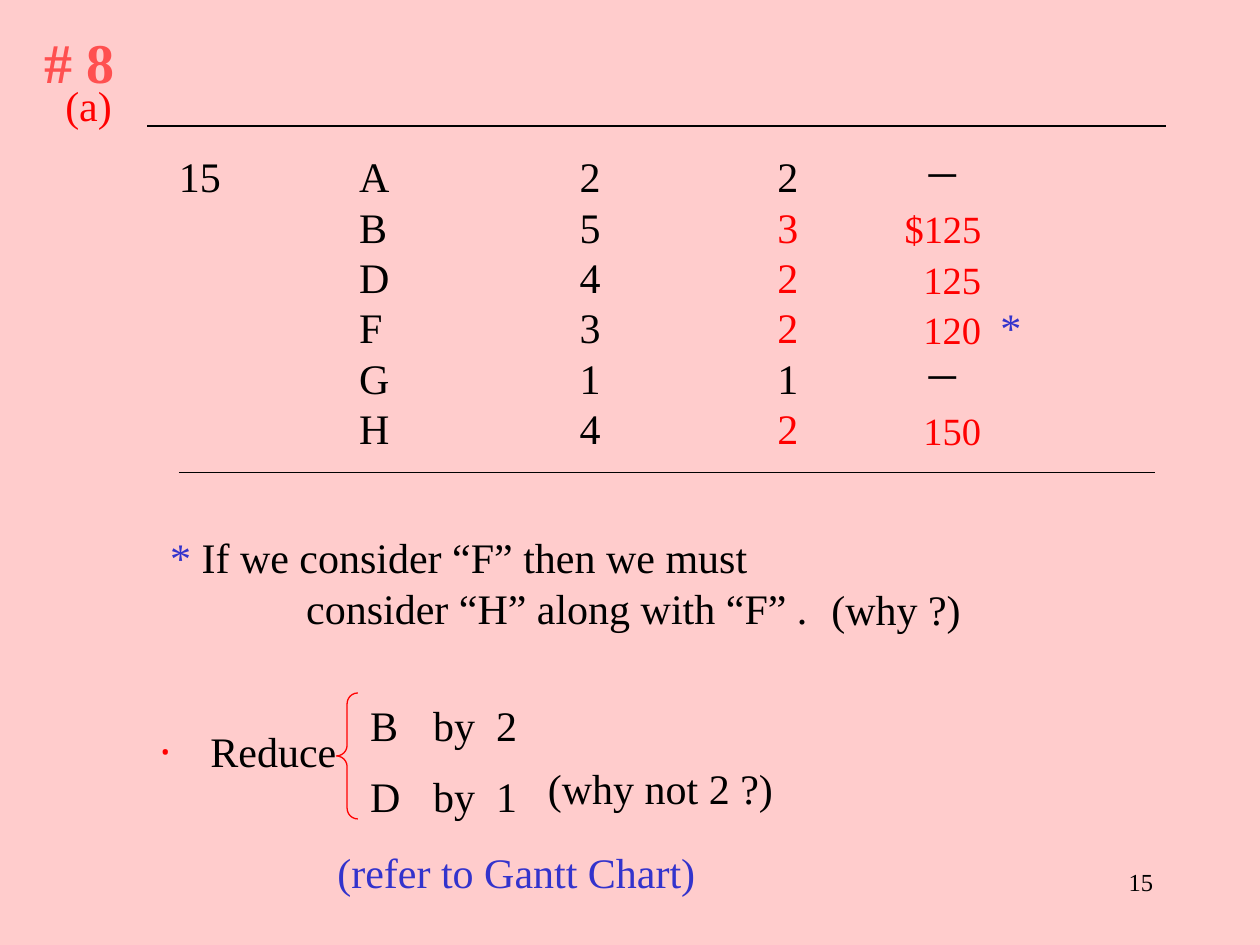
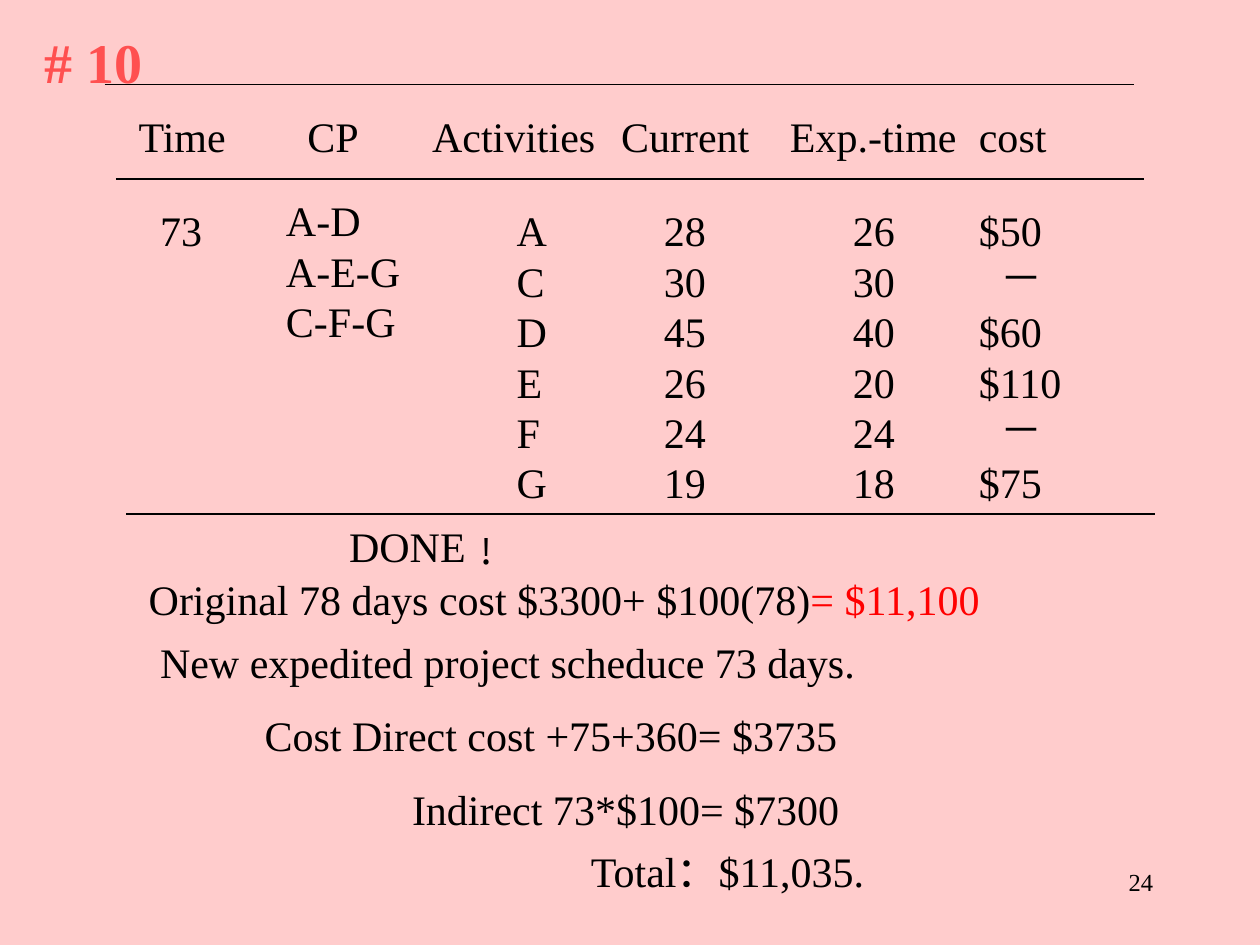
from dataclasses import dataclass
from itertools import accumulate

from lxml import etree
from pptx import Presentation, util as u
from pptx.dml.color import RGBColor
from pptx.enum import shapes, text
from pptx.oxml import ns


@dataclass(frozen=True)
class Theme:
    font: str = "Times New Roman"
    background: str = "FFCCCC"
    title: str = "FF5050"
    ink: str = "000000"
    red: str = "FF0000"
    blue: str = "3333CC"
    title_size: int = 32
    body_size: int = 24
    cost_size: int = 22
    number_size: int = 14
    leading: float = 1.2
    line_width: float = 0.75


THEME = Theme()
RED, BLUE, INK = THEME.red, THEME.blue, THEME.ink
ROW_HEIGHT = 0.4
NO_GRID_STYLE = "{2D5ABB26-0587-4C30-8999-92F81FD0307C}"

CRASH_ROWS = [
    ["15", "A", "2", "2", "－", ""],
    ["", "B", "5", [("3", RED)], [("$125", RED)], ""],
    ["", "D", "4", [("2", RED)], [("125", RED)], ""],
    ["", "F", "3", [("2", RED)], [("120", RED)], [("*", BLUE)]],
    ["", "G", "1", "1", "－", ""],
    ["", "H", "4", [("2", RED)], [("150", RED)], ""],
]
CRASH_COLUMNS = [1.42, 2.85, 4.6, 6.17, 7.18, 7.94, 8.34]
CRASH_RULES = [(1.17, 9.25, 1), (1.42, 9.17, 3.75)]
CRASH_NOTES = [
    dict(content=[("*", BLUE), (" If we consider “F” then we must", INK)], margin=0.08),
    dict(content="consider “H” along with “F” .", margin=1.16),
    dict(content="Reduce", margin=0.4, before=53, bullet="‧"),
]
REDUCTIONS = [
    dict(content="B\tby\t2", tabs=(0.47, 0.97)),
    dict(content="D\tby\t1", tabs=(0.47, 0.97), before=12),
]
CRASH_REMARKS = [
    (6.5, 4.58, 1.4, "(why ?)"),
    (4.25, 6, 2.2, "(why not 2 ?)"),
    (2.58, 6.67, 4, [("(refer to Gantt Chart)", BLUE)]),
    (0.42, 0.58, 0.8, [("(a)", RED)]),
]

COST_HEADER = ["Time", "CP", "Activities", "Current", "Exp.-time", "cost"]
CRITICAL_PATHS = ["A-D", "A-E-G", "C-F-G"]
COST_ROWS = [
    ["73", "", "A", "28", "26", "$50"],
    ["", "", "C", "30", "30", "－"],
    ["", "", "D", "45", "40", "$60"],
    ["", "", "E", "26", "20", "$110"],
    ["", "", "F", "24", "24", "－"],
    ["", "", "G", "19", "18", "$75"],
]
COST_COLUMNS = [1.1, 2.27, 3.43, 4.93, 6.27, 7.77, 8.77]
HEADER_INDENTS = [0, 0.17, 0, 0, 0, 0]
BODY_INDENTS = [0.17, 0, 0.67, 0.34, 0.5, 0]
COST_RULES = [(0.83, 9, 0.67), (0.92, 9.08, 1.42), (1, 9.17, 4.08)]
COST_NOTES = [
    dict(content="DONE﹗", margin=1.59),
    dict(content=[("Original 78 days cost $3300+ $100(78)", INK), ("= $11,100", RED)],
         before=1.5),
    dict(content="New expedited project scheduce 73 days.", margin=0.09, before=7),
    dict(content="Cost Direct cost +75+360= $3735", margin=0.92, before=13),
    dict(content="Indirect 73*$100= $7300", margin=2.09, before=13.5),
    dict(content="Total：$11,035.", margin=3.51, before=7),
]


def write(paragraph, content, size=THEME.body_size, color=INK, bold=False,
          margin=0, before=0, bullet=None, tabs=()):
    if isinstance(content, str):
        content = [(content, color)]
    paragraph.text = content[0][0]
    for piece, _ in content[1:]:
        paragraph.add_run().text = piece
    for run, (_, run_color) in zip(paragraph.runs, content):
        run.font.name = THEME.font
        run.font.size = u.Pt(size)
        run.font.bold = bold
        run.font.color.rgb = RGBColor.from_string(run_color)
    paragraph.alignment = text.PP_ALIGN.LEFT
    paragraph.line_spacing = u.Pt(size * THEME.leading)
    paragraph.space_before = u.Pt(before)
    properties = paragraph._p.get_or_add_pPr()
    properties.set("marL", str(u.Inches(margin)))
    properties.set("indent", str(u.Inches(-margin if bullet else 0)))
    if bullet:
        bullet_color = etree.SubElement(properties, ns.qn("a:buClr"))
        etree.SubElement(bullet_color, ns.qn("a:srgbClr"), val=RED)
        etree.SubElement(properties, ns.qn("a:buFont"), typeface=THEME.font)
        etree.SubElement(properties, ns.qn("a:buChar"), char=bullet)
    else:
        etree.SubElement(properties, ns.qn("a:buNone"))
    if tabs:
        tab_list = etree.SubElement(properties, ns.qn("a:tabLst"))
        for tab in tabs:
            etree.SubElement(tab_list, ns.qn("a:tab"), pos=str(u.Inches(tab)), algn="l")


def fill_frame(frame, notes):
    frame.word_wrap = True
    frame.auto_size = text.MSO_AUTO_SIZE.NONE
    frame.vertical_anchor = text.MSO_ANCHOR.TOP
    for index, note in enumerate(notes):
        write(frame.paragraphs[0] if index == 0 else frame.add_paragraph(), **note)


def place(shape, left, top, width, height):
    shape.left, shape.top = u.Inches(left), u.Inches(top)
    shape.width, shape.height = u.Inches(width), u.Inches(height)


def add_text(slide, left, top, width, height, notes):
    box = slide.shapes.add_textbox(*map(u.Inches, (left, top, width, height)))
    fill_frame(box.text_frame, notes)
    return box


def add_rules(slide, rules):
    for start, end, y in rules:
        rule = slide.shapes.add_connector(
            shapes.MSO_CONNECTOR.STRAIGHT, *map(u.Inches, (start, y, end, y)))
        rule.line.color.rgb = RGBColor.from_string(INK)
        rule.line.width = u.Pt(THEME.line_width)
        etree.SubElement(rule._element.spPr, ns.qn("a:effectLst"))


def add_slide(presentation, title, number, body_box, notes, rules):
    slide = presentation.slides.add_slide(presentation.slide_layouts[1])
    place(slide.shapes.title, 0.25, 0.17, 2, 0.64)
    fill_frame(slide.shapes.title.text_frame, [
        dict(content=title, size=THEME.title_size, color=THEME.title, bold=True)])
    body = slide.placeholders[1]
    place(body, *body_box)
    fill_frame(body.text_frame, notes)
    add_rules(slide, rules)
    page = add_text(slide, 7.17, 6.83, 2.08, 0.5, [
        dict(content=number, size=THEME.number_size)])
    page.text_frame.paragraphs[0].alignment = text.PP_ALIGN.RIGHT
    return slide


def add_grid(slide, rows, columns, top, heights):
    frame = slide.shapes.add_table(
        len(rows), len(columns) - 1, u.Inches(columns[0]), u.Inches(top),
        u.Inches(columns[-1] - columns[0]), u.Inches(sum(heights)))
    table = frame.table
    table.first_row = table.horz_banding = False
    table._tbl.tblPr.find(ns.qn("a:tableStyleId")).text = NO_GRID_STYLE
    for column, start, end in zip(table.columns, columns, columns[1:]):
        column.width = u.Inches(end - start)
    for row, height in zip(table.rows, heights):
        row.height = u.Inches(height)
    for cell in table.iter_cells():
        cell.fill.background()
        cell.margin_left = cell.margin_right = cell.margin_top = cell.margin_bottom = 0
        cell.vertical_anchor = text.MSO_ANCHOR.BOTTOM
    return table


def build_crash_slide(presentation):
    slide = add_slide(presentation, "# 8", "15", (1.17, 4.17, 5.6, 2.1),
                      CRASH_NOTES, CRASH_RULES)
    table = add_grid(slide, CRASH_ROWS, CRASH_COLUMNS, 1.2, [ROW_HEIGHT] * len(CRASH_ROWS))
    for r, row in enumerate(CRASH_ROWS):
        for c, content in enumerate(row):
            is_cost = c == 4
            indented = is_cost and content[0][0] != "$125"
            write(table.cell(r, c).text_frame.paragraphs[0], content,
                  size=THEME.cost_size if is_cost else THEME.body_size,
                  margin=0.15 if indented else 0)
    brace = slide.shapes.add_shape(
        shapes.MSO_SHAPE.LEFT_BRACE, *map(u.Inches, (2.67, 5.5, 0.17, 1)))
    brace.adjustments[0] = 0.5
    brace.shadow.inherit = False
    brace.fill.background()
    brace.line.color.rgb = RGBColor.from_string(RED)
    brace.line.width = u.Pt(THEME.line_width)
    add_text(slide, 2.84, 5.5, 1.4, 1.07, REDUCTIONS)
    for left, top, width, remark in CRASH_REMARKS:
        add_text(slide, left, top, width, 0.5, [dict(content=remark)])


def build_cost_slide(presentation):
    slide = add_slide(presentation, "# 10", "24", (1.08, 4.08, 7.2, 3.1),
                      COST_NOTES, COST_RULES)
    rows = [COST_HEADER] + COST_ROWS
    heights = [0.67, 0.48] + [ROW_HEIGHT] * (len(COST_ROWS) - 1)
    table = add_grid(slide, rows, COST_COLUMNS, 0.88, heights)
    for r, row in enumerate(rows):
        indents = BODY_INDENTS if r else HEADER_INDENTS
        for c, content in enumerate(row):
            cell = table.cell(r, c)
            if r == 0:
                cell.vertical_anchor = text.MSO_ANCHOR.TOP
            write(cell.text_frame.paragraphs[0], content,
                  margin=0.17 if content == "－" else indents[c])
    paths = table.cell(1, 1)
    paths.merge(table.cell(len(COST_ROWS), 1))
    paths.vertical_anchor = text.MSO_ANCHOR.TOP
    for index, route in enumerate(CRITICAL_PATHS):
        frame = paths.text_frame
        write(frame.add_paragraph() if index else frame.paragraphs[0], route)


def main():
    presentation = Presentation()
    presentation.slide_width, presentation.slide_height = u.Inches(10), u.Inches(7.5)
    background = presentation.slide_master.background.fill
    background.solid()
    background.fore_color.rgb = RGBColor.from_string(THEME.background)
    build_crash_slide(presentation)
    build_cost_slide(presentation)
    presentation.save("out.pptx")


if __name__ == "__main__":
    main()
